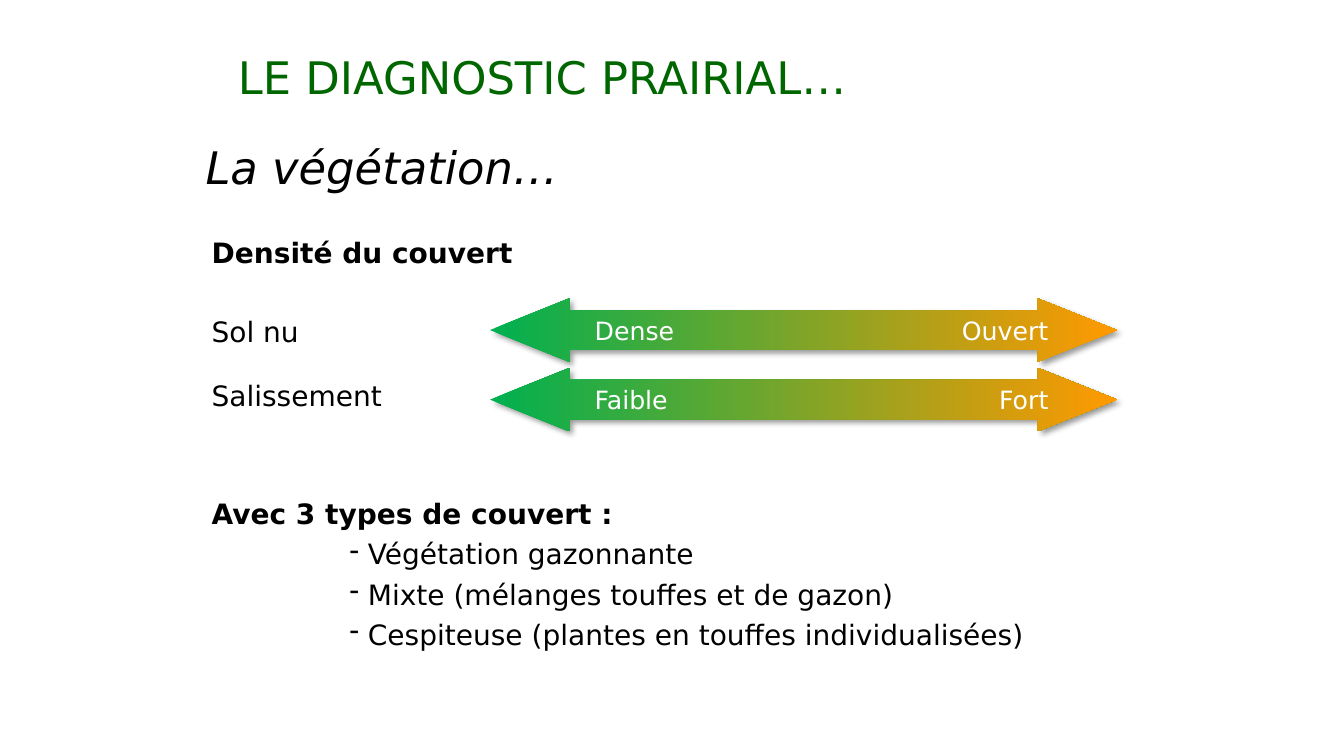
from dataclasses import dataclass

from lxml import etree
from pptx import Presentation
from pptx import util as u
from pptx.dml.color import RGBColor
from pptx.enum import shapes, text
from pptx.oxml.ns import qn

TITLE = "LE DIAGNOSTIC PRAIRIAL…"
SUBTITLE = "La végétation…"
# text, style, space before in points
BODY = [
    ("Densité du couvert", "heading", 0),
    ("Sol nu", "plain", 32.5),
    ("Salissement", "plain", 21.7),
    ("Avec 3 types de couvert :", "heading", 60.3),
    ("Végétation gazonnante", "bullet", 4.6),
    ("Mixte (mélanges touffes et de gazon)", "bullet", 4.6),
    ("Cespiteuse (plantes en touffes individualisées)", "bullet", 4.6),
]
SCALES = [("Dense", "Ouvert"), ("Faible", "Fort")]

# left, top, width, height in inches
TITLE_BOX = (2.26, 0.44, 7.72, 0.64)
SUBTITLE_BOX = (1.94, 1.34, 4.73, 0.94)
BODY_BOX = (2, 2.29, 9.49, 4.54)
FIRST_ARROW = (4.86, 2.96, 6.22, 0.63)
ARROW_PITCH = 0.69
LABEL_INSET, LABEL_SPAN = 0.55, 4.5
BULLET_INDENT, BULLET_HANGING = 1.55, 0.18


@dataclass(frozen=True)
class Theme:
    font: str = "DejaVu Sans"
    title: RGBColor = RGBColor(0x00, 0x66, 0x00)
    ink: RGBColor = RGBColor(0x00, 0x00, 0x00)
    label: RGBColor = RGBColor(0xFF, 0xFF, 0xFF)
    gradient: tuple = (RGBColor(0x00, 0xB0, 0x50), RGBColor(0xFF, 0x99, 0x00))
    title_size: int = 32
    body_size: int = 20
    label_size: int = 18


THEME = Theme()


def inches(box):
    return [u.Inches(length) for length in box]


def add_run(paragraph, words, size, color, bold=False, italic=False):
    run = paragraph.add_run()
    run.text = words
    font = run.font
    font.name, font.size, font.color.rgb = THEME.font, u.Pt(size), color
    font.bold, font.italic = bold, italic


def add_text_box(slide, box):
    frame = slide.shapes.add_textbox(*inches(box)).text_frame
    frame.word_wrap = True
    return frame


def add_title(slide):
    title = slide.shapes.title
    title.left, title.top, title.width, title.height = inches(TITLE_BOX)
    frame = title.text_frame
    frame.vertical_anchor = text.MSO_ANCHOR.MIDDLE
    paragraph = frame.paragraphs[0]
    paragraph.alignment = text.PP_ALIGN.LEFT
    add_run(paragraph, TITLE, THEME.title_size, THEME.title)


def set_bullet(paragraph):
    properties = paragraph._p.get_or_add_pPr()
    properties.set("marL", str(u.Inches(BULLET_INDENT)))
    properties.set("indent", str(-u.Inches(BULLET_HANGING)))
    etree.SubElement(properties, qn("a:buChar"), char="-")


def add_body(slide):
    frame = add_text_box(slide, BODY_BOX)
    for index, (words, style, space) in enumerate(BODY):
        paragraph = frame.add_paragraph() if index else frame.paragraphs[0]
        if style == "bullet":
            set_bullet(paragraph)
        if space:
            paragraph.space_before = u.Pt(space)
        add_run(paragraph, words, THEME.body_size, THEME.ink, bold=style == "heading")


def add_shadow(shape):
    shape.shadow.inherit = False
    effects = shape._element.spPr.find(qn("a:effectLst"))
    shadow = etree.SubElement(
        effects, qn("a:outerShdw"), blurRad=str(u.Pt(4)), dist=str(u.Pt(3)),
        dir=str(45 * 60000), algn="tl", rotWithShape="0")
    color = etree.SubElement(shadow, qn("a:srgbClr"), val="000000")
    etree.SubElement(color, qn("a:alpha"), val="40000")


def add_scale(slide, row, labels):
    """Draw a double arrow with one label at each end of its shaft."""
    left, top, width, height = FIRST_ARROW
    box = inches((left, top + row * ARROW_PITCH, width, height))
    arrow = slide.shapes.add_shape(shapes.MSO_SHAPE.LEFT_RIGHT_ARROW, *box)
    arrow.adjustments[0], arrow.adjustments[1] = 0.62, 1.25
    arrow.fill.gradient()
    arrow.fill.gradient_angle = 0
    for stop, color in zip(arrow.fill.gradient_stops, THEME.gradient):
        stop.color.rgb = color
    arrow.line.fill.background()
    add_shadow(arrow)

    frame = arrow.text_frame
    frame.margin_left = u.Inches(LABEL_INSET)
    frame.vertical_anchor = text.MSO_ANCHOR.MIDDLE
    paragraph = frame.paragraphs[0]
    paragraph.alignment = text.PP_ALIGN.LEFT
    tabs = etree.SubElement(paragraph._p.get_or_add_pPr(), qn("a:tabLst"))
    etree.SubElement(tabs, qn("a:tab"), pos=str(u.Inches(LABEL_SPAN)), algn="r")
    add_run(paragraph, "\t".join(labels), THEME.label_size, THEME.label)


def main():
    presentation = Presentation()
    presentation.slide_width, presentation.slide_height = inches((13.33, 7.5))
    slide = presentation.slides.add_slide(presentation.slide_layouts[5])
    add_title(slide)
    subtitle = add_text_box(slide, SUBTITLE_BOX).paragraphs[0]
    add_run(subtitle, SUBTITLE, THEME.title_size, THEME.ink, italic=True)
    add_body(slide)
    for row, labels in enumerate(SCALES):
        add_scale(slide, row, labels)
    presentation.save("out.pptx")


if __name__ == "__main__":
    main()
